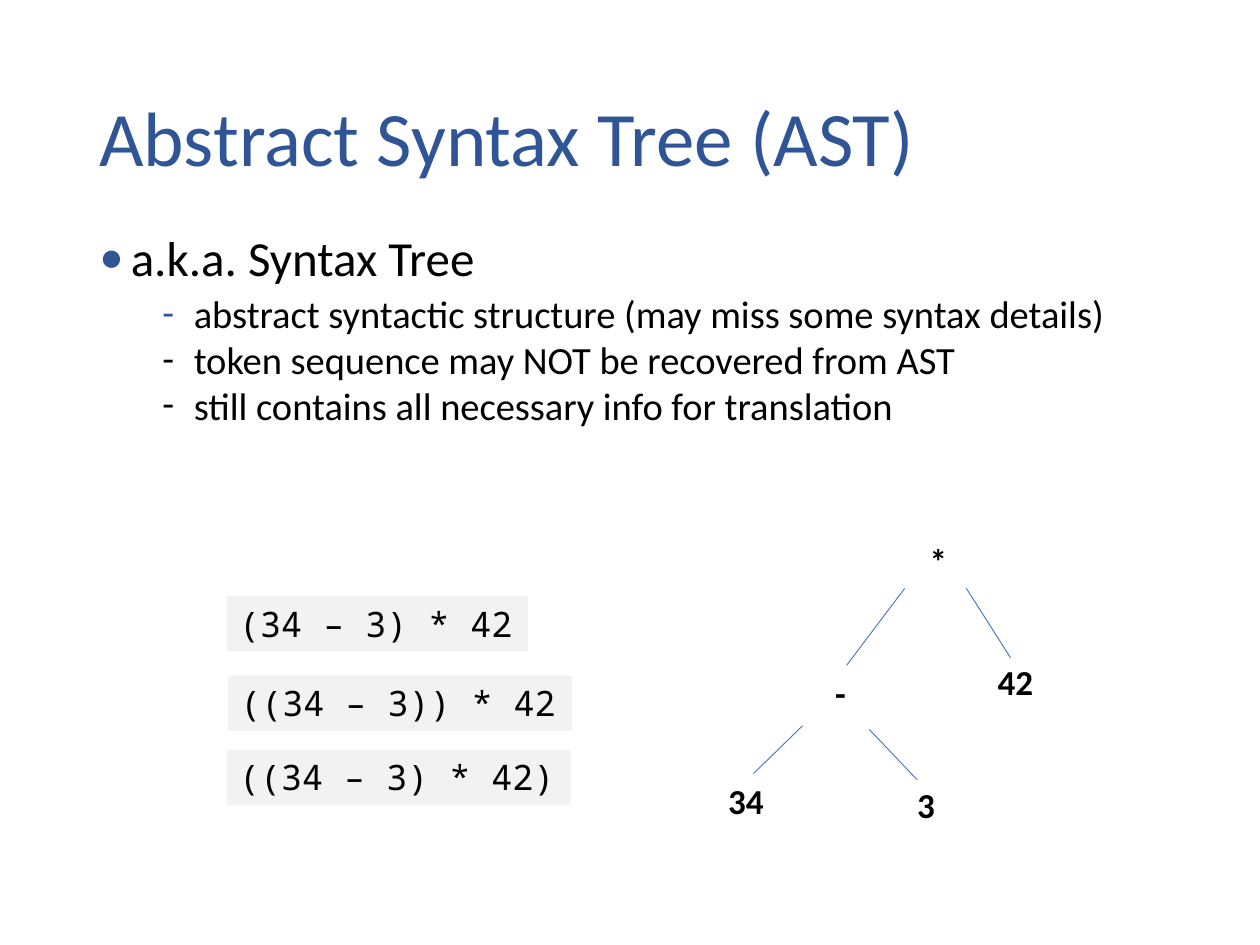
from lxml.etree import SubElement
from pptx import Presentation
from pptx.dml.color import RGBColor
from pptx.enum.shapes import MSO_CONNECTOR as Connector
from pptx.enum.text import MSO_ANCHOR as Anchor, MSO_AUTO_SIZE as AutoSize
from pptx.oxml.ns import qn
from pptx.util import Inches, Pt

BLACK = RGBColor(0x00, 0x00, 0x00)
NAVY = RGBColor(0x2F, 0x55, 0x97)
BLUE = RGBColor(0x44, 0x72, 0xC4)
GREY = RGBColor(0xF2, 0xF2, 0xF2)

deck = Presentation()
deck.slide_width, deck.slide_height = Inches(10), Inches(7.5)
page = deck.slides.add_slide(deck.slide_layouts[6])

# The page is a grid of 100 columns by 75 rows.
COL = deck.slide_width // 100
ROW = deck.slide_height // 75
LABEL_HEIGHT = 4.4


def add_box(left, top, width, height, **frame_format):
    box = page.shapes.add_textbox(
        int(left * COL), int(top * ROW), int(width * COL), int(height * ROW))
    for name, value in frame_format.items():
        setattr(box.text_frame, name, value)
    return box


def add_span(para, text, size, **font_format):
    span = para.add_run()
    span.text = text
    values = {"name": "Calibri", "size": Pt(size), **font_format}
    color = values.pop("color", BLACK)
    for name, value in values.items():
        setattr(span.font, name, value)
    span.font.color.rgb = color


# Title
title = add_box(6.9, 4, 86.2, 14.5, word_wrap=True, vertical_anchor=Anchor.MIDDLE)
para = title.text_frame.paragraphs[0]
para.line_spacing = 0.9
add_span(para, "Abstract Syntax Tree (AST)", 44, color=NAVY)

# Bullets: text, size, indent, line spacing, mark, mark colour
bullets = [
    ("a.k.a. Syntax Tree", 28, 0.25, 0.8, "•", NAVY),
    ("abstract syntactic structure (may miss some syntax details)",
     22, 0.75, 0.9, "-", NAVY),
    ("token sequence may NOT be recovered from AST", 22, 0.75, 0.8, "-", BLACK),
    ("still contains all necessary info for translation", 22, 0.75, 0.8, "-", BLACK),
]
body = add_box(6.9, 18.5, 86.3, 17.3, word_wrap=True)
for index, (text, size, indent, spacing, mark, mark_color) in enumerate(bullets):
    para = body.text_frame.add_paragraph() if index else body.text_frame.paragraphs[0]
    props = para._p.get_or_add_pPr()
    props.set("marL", str(Inches(indent)))
    props.set("indent", str(Inches(-0.25)))
    SubElement(SubElement(props, qn("a:buClr")), qn("a:srgbClr"), val=str(mark_color))
    SubElement(props, qn("a:buFont"), typeface="Calibri")
    SubElement(props, qn("a:buChar"), char=mark)
    para.line_spacing = spacing
    if index:
        para.space_before = Pt(5)
    add_span(para, text, size)

# Tree edges: start column and row, end column and row
edges = [
    (71.8, 46.7, 67.2, 52.8),
    (76.7, 46.7, 80.2, 52.2),
    (63.7, 57.6, 59.8, 61.4),
    (69, 57.9, 72.8, 61.9),
]
for x1, y1, x2, y2 in edges:
    edge = page.shapes.add_connector(
        Connector.STRAIGHT, int(x1 * COL), int(y1 * ROW), int(x2 * COL), int(y2 * ROW))
    edge.line.color.rgb = BLUE
    edge.line.width = Pt(0.5)
    SubElement(edge._element.spPr, qn("a:effectLst"))

# Tree nodes: text, left, top, width
nodes = [
    ("*", 72.8, 42.3, 3.9),
    ("-", 65.3, 52.8, 2.9),
    ("42", 78.2, 51.9, 4.9),
    ("34", 56.8, 61.4, 4.9),
    ("3", 71.8, 61.7, 3.4),
]
for text, left, top, width in nodes:
    node = add_box(left, top, width, LABEL_HEIGHT,
                   word_wrap=text == "*", auto_size=AutoSize.SHAPE_TO_FIT_TEXT)
    add_span(node.text_frame.paragraphs[0], text, 20, bold=True)

# Expressions that share the tree: text, left, top, width
expressions = [
    ("(34 – 3) * 42", 18, 47.3, 23.9),
    ("((34 – 3)) * 42", 18.1, 53.6, 27.3),
    ("((34 – 3) * 42)", 18, 59.5, 27.3),
]
for text, left, top, width in expressions:
    code = add_box(left, top, width, LABEL_HEIGHT,
                   word_wrap=False, auto_size=AutoSize.SHAPE_TO_FIT_TEXT)
    code.fill.solid()
    code.fill.fore_color.rgb = GREY
    add_span(code.text_frame.paragraphs[0], text, 20, name="Noto Sans Mono")

deck.save("out.pptx")
